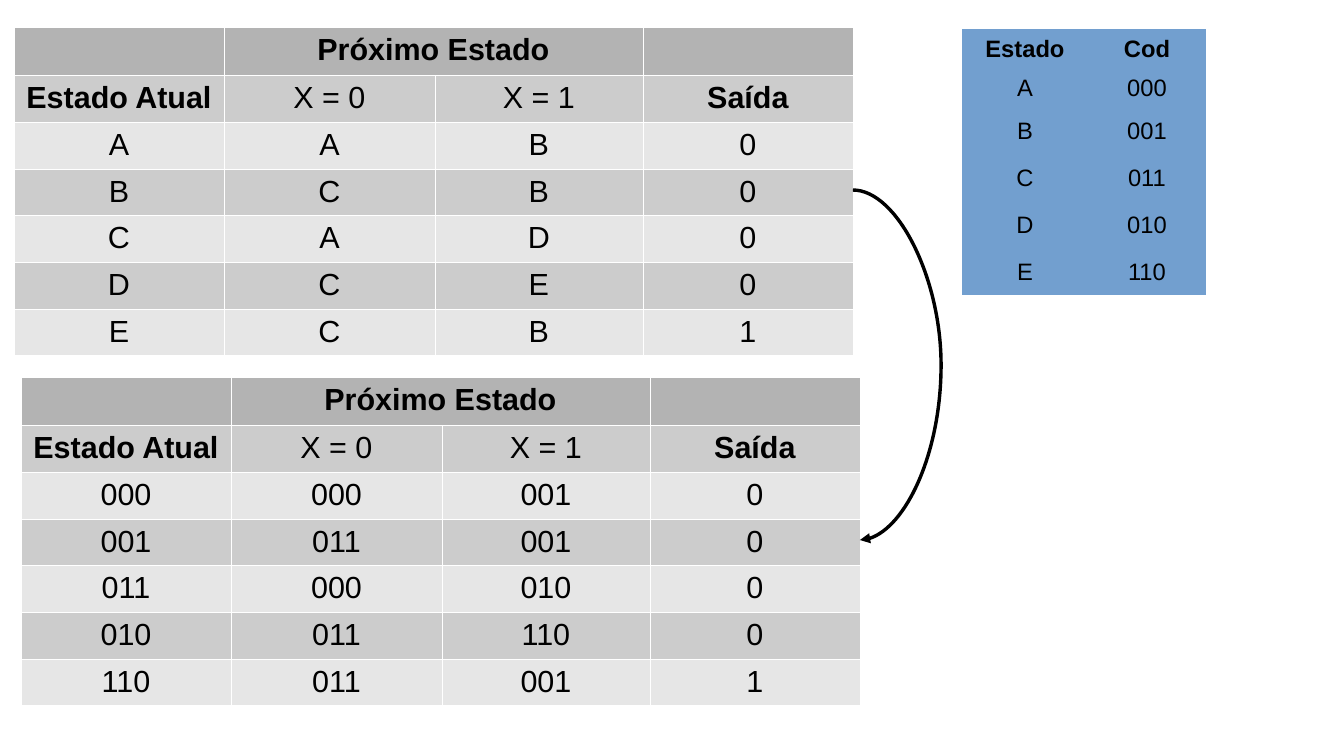
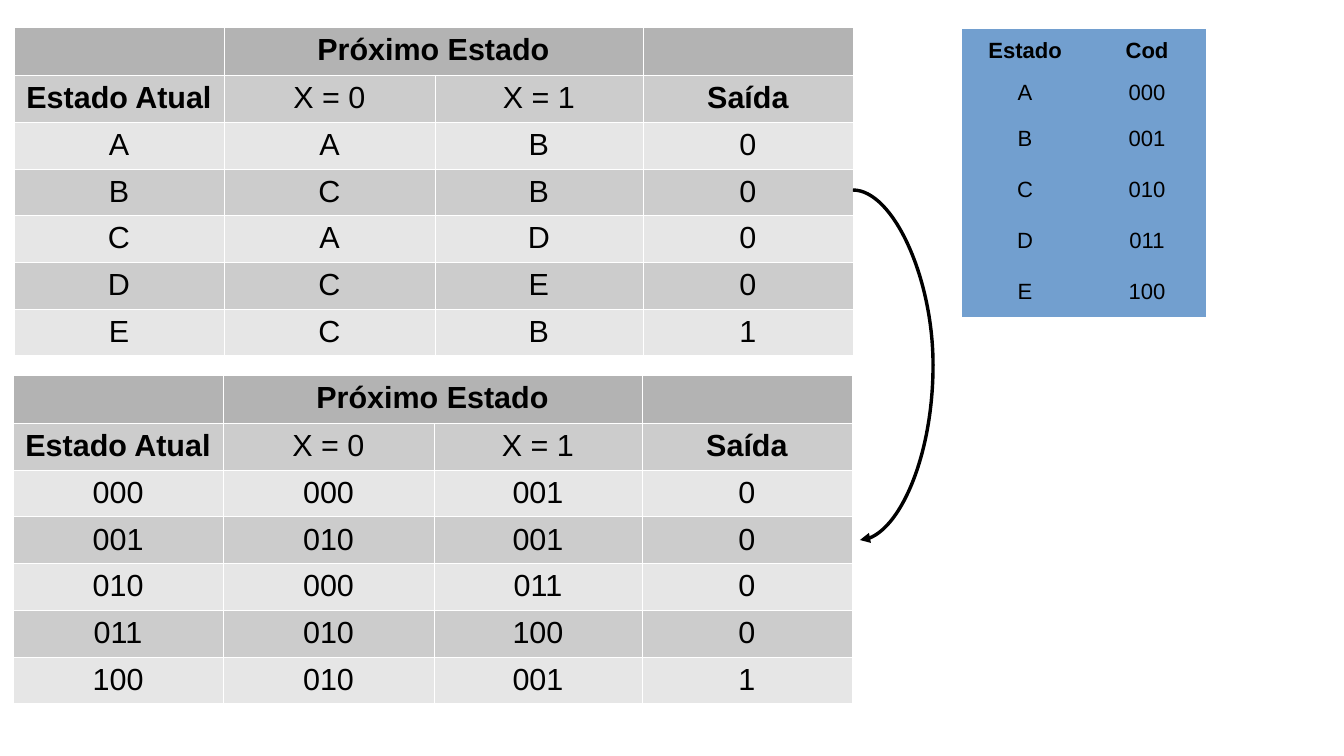
from dataclasses import dataclass

from lxml import etree
from pptx import Presentation
from pptx import util as u
from pptx.dml.color import RGBColor
from pptx.enum import shapes, text
from pptx.oxml import ns


@dataclass(frozen=True)
class Theme:
    font: str = "Arial"
    ink: str = "000000"
    grid: str = "FFFFFF"
    header: str = "B3B3B3"
    bands: tuple = ("CCCCCC", "E6E6E6")
    code_fill: str = "729FCF"
    state_size: int = 18
    grid_width: float = 0.06


THEME = Theme()
PX_PER_INCH = 122
SLIDE_W, SLIDE_H = 1344, 756
STATE_COLS = (210, 211, 208, 210)
STATE_H = 327
CODE_COLS = (126, 118)
MARGINS = (12, 6, 12, 5)  # left, top, right, bottom
NO_STYLE = "{2D5ABB26-0587-4C30-8999-92F81FD0307C}"

# Current state, next state for X = 0 and X = 1, output
TRANSITIONS = ("AAB0", "BCB0", "CAD0", "DCE0", "ECB1")


def px(n):
    return u.Inches(n / PX_PER_INCH)


def color(value):
    return RGBColor.from_string(value)


def add_table(slide, x, y, cols, heights):
    """Place an unstyled table with the given column widths and row heights."""
    frame = slide.shapes.add_table(len(heights), len(cols), px(x), px(y),
                                   px(sum(cols)), px(sum(heights)))
    table = frame.table
    table.first_row = table.horz_banding = False
    frame.element.find(".//" + ns.qn("a:tableStyleId")).text = NO_STYLE
    for column, width in zip(table.columns, cols):
        column.width = px(width)
    for row, height in zip(table.rows, heights):
        row.height = px(height)
    return table


def add_grid(cell):
    """Draw a hairline on the four sides of a cell."""
    tc_pr = cell._tc.get_or_add_tcPr()
    for side in ("lnL", "lnR", "lnT", "lnB"):
        ln = etree.SubElement(tc_pr, ns.qn("a:" + side),
                              w=str(u.Pt(THEME.grid_width)))
        fill = etree.SubElement(ln, ns.qn("a:solidFill"))
        etree.SubElement(fill, ns.qn("a:srgbClr"), val=THEME.grid)


def fill_cell(cell, label, fill, size, bold):
    cell.fill.solid()
    cell.fill.fore_color.rgb = color(fill)
    (cell.margin_left, cell.margin_top,
     cell.margin_right, cell.margin_bottom) = map(px, MARGINS)
    if not label:
        return
    p = cell.text_frame.paragraphs[0]
    p.text = label
    p.alignment = text.PP_ALIGN.CENTER
    font = p.runs[0].font
    font.name, font.size, font.bold = THEME.font, u.Pt(size), bold
    font.color.rgb = color(THEME.ink)


def state_table(slide, x, y, codes=None):
    """State transitions, by letter or by the given binary codes."""
    codes = codes or {}
    rows = [("", "Próximo Estado", "", ""),
            ("Estado Atual", "X = 0", "X = 1", "Saída")]
    rows += [[codes.get(c, c) for c in line] for line in TRANSITIONS]
    table = add_table(slide, x, y, STATE_COLS, [STATE_H / len(rows)] * len(rows))
    for i, row in enumerate(rows):
        fill = THEME.bands[(i - 1) % 2] if i else THEME.header
        for j, label in enumerate(row):
            cell = table.cell(i, j)
            add_grid(cell)
            bold = i == 0 or (i == 1 and j in (0, 3))
            fill_cell(cell, label, fill, THEME.state_size, bold)
    table.cell(0, 1).merge(table.cell(0, 2))


def code_table(slide, x, y, codes, top_h, body_h, size):
    """Code given to each state; the first two rows are lower."""
    rows = [("Estado", "Cod"), *codes.items()]
    heights = [top_h] * 2 + [body_h] * (len(rows) - 2)
    table = add_table(slide, x, y, CODE_COLS, heights)
    for i, row in enumerate(rows):
        for j, label in enumerate(row):
            cell = table.cell(i, j)
            cell.vertical_anchor = text.MSO_ANCHOR.MIDDLE
            fill_cell(cell, label, THEME.code_fill, size, i == 0)


def encoding_arrow(slide, x1, y1, x2, y2, bulge):
    """Curved arrow that swings out to the right by bulge."""
    cxn = slide.shapes.add_connector(shapes.MSO_CONNECTOR.CURVE,
                                     px(x1), px(y1), px(x2), px(y2))
    cxn.line.color.rgb = color(THEME.ink)
    cxn.line.width = 0
    etree.SubElement(cxn.line._get_or_add_ln(), ns.qn("a:tailEnd"),
                     type="triangle")
    sp_pr = cxn.element.spPr
    etree.SubElement(sp_pr, ns.qn("a:effectLst"))
    guides = sp_pr.find(".//" + ns.qn("a:avLst"))
    adj = round(100000 * bulge / (x2 - x1))
    etree.SubElement(guides, ns.qn("a:gd"), name="adj1", fmla=f"val {adj}")


def encoding_slide(prs, codes, encoded_at, code_rows, code_size, bulge):
    slide = prs.slides.add_slide(prs.slide_layouts[6])
    state_table(slide, 14, 27)
    state_table(slide, *encoded_at, codes)
    code_table(slide, 962, 29, codes, *code_rows, code_size)
    encoding_arrow(slide, 853, 190, 860, 540, bulge)


def main():
    prs = Presentation()
    prs.slide_width, prs.slide_height = px(SLIDE_W), px(SLIDE_H)
    # Gray code
    gray = dict(zip("ABCDE", ("000", "001", "011", "010", "110")))
    encoding_slide(prs, gray, (21, 377), (39, 47), 14, 88)
    # Plain binary code
    binary = {state: f"{i:03b}" for i, state in enumerate("ABCDE")}
    encoding_slide(prs, binary, (13, 375), (42, 51), 13, 80)
    prs.save("out.pptx")


if __name__ == "__main__":
    main()
